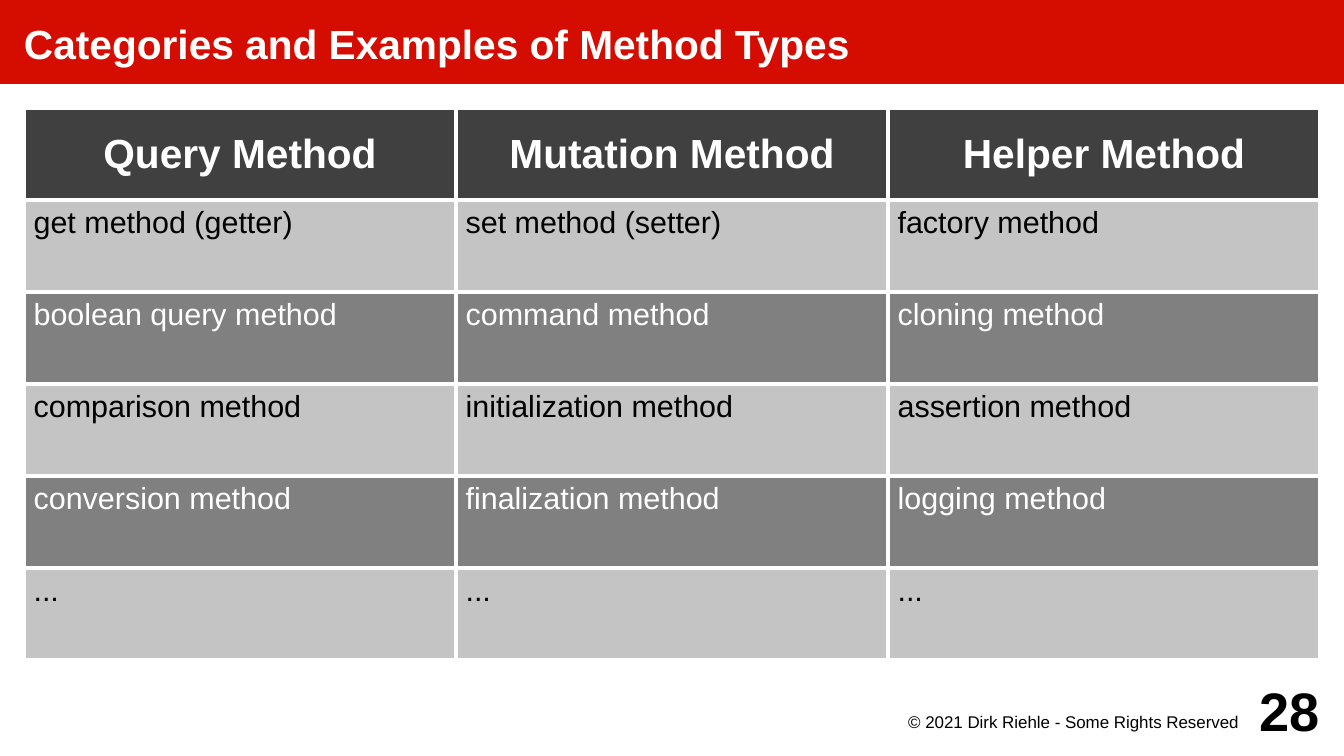
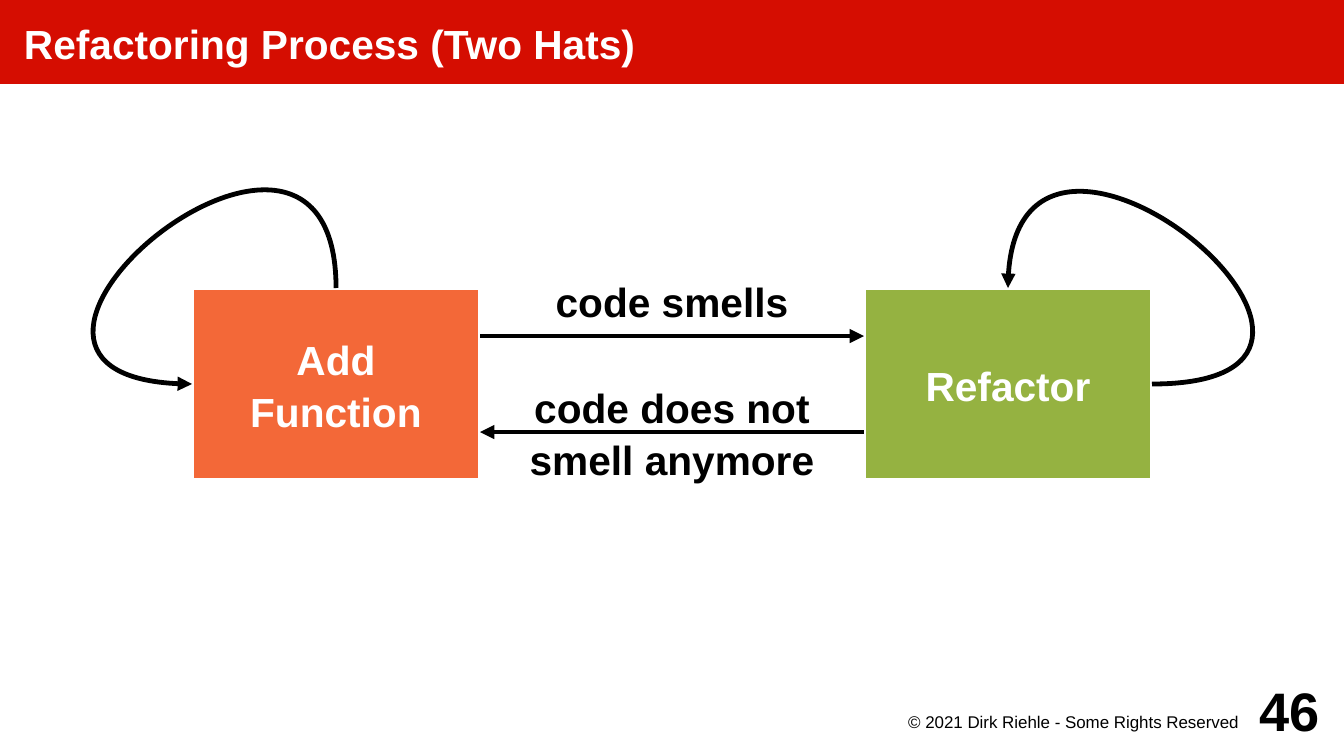
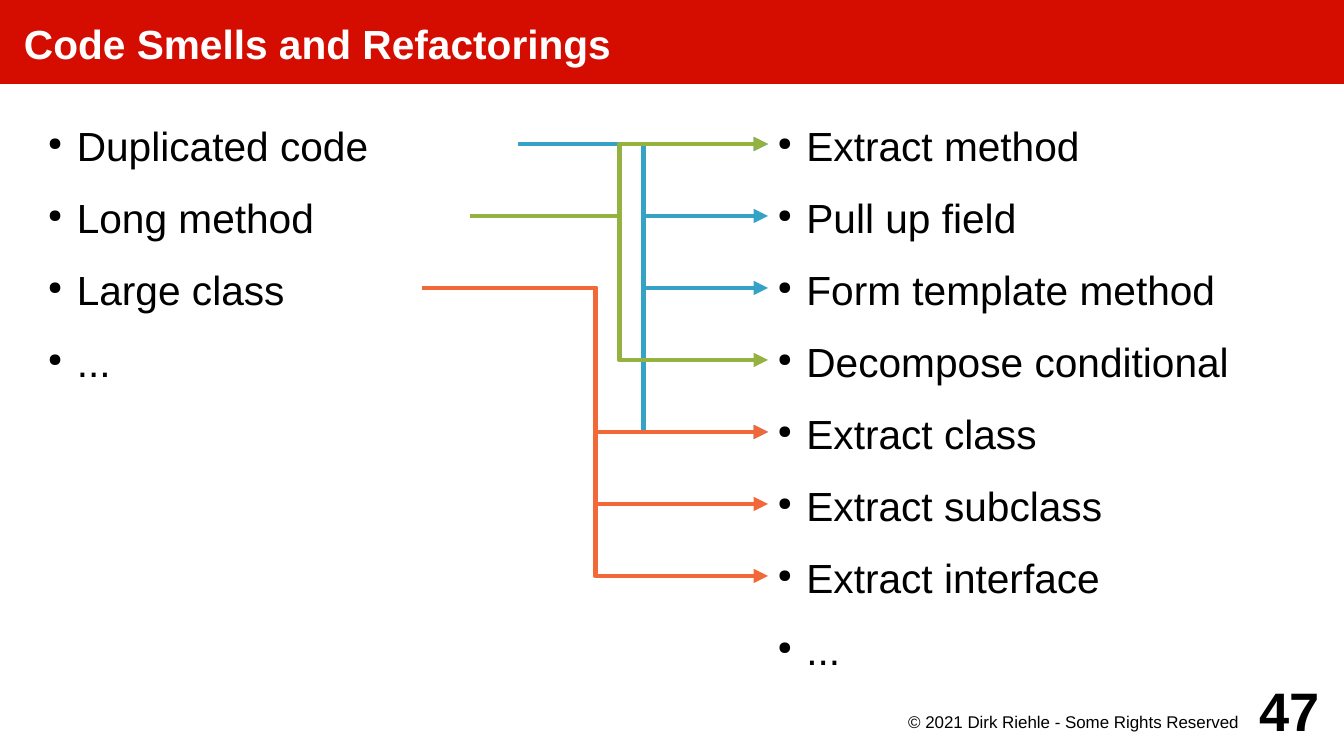
from lxml.etree import SubElement as Sub
from pptx import Presentation
from pptx.dml.color import RGBColor as Rgb
from pptx.enum.shapes import MSO_CONNECTOR as Conn, MSO_SHAPE as Form
from pptx.enum.text import MSO_ANCHOR as Anchor, PP_ALIGN as Align
from pptx.oxml.ns import qn
from pptx.util import Cm, Pt

# Shared look, lengths in cm
WIDE, HIGH = 28, 15.75
FONT = "Arial"
RED, BLACK, WHITE = "D50D01", "000000", "FFFFFF"
DARK, GRAY, LIGHT = "404040", "808080", "C4C4C4"
BLUE, GREEN, ORANGE = "34A3C5", "95B241", "F36838"
STROKE = 0.1
LEFT, MID, RIGHT = Align.LEFT, Align.CENTER, Align.RIGHT
NOTICE = "© 2021 Dirk Riehle - Some Rights Reserved"

# Slide 1: table
METHODS = [
    ("Query Method", "Mutation Method", "Helper Method"),
    ("get method (getter)", "set method (setter)", "factory method"),
    ("boolean query method", "command method", "cloning method"),
    ("comparison method", "initialization method", "assertion method"),
    ("conversion method", "finalization method", "logging method"),
    ("...", "...", "..."),
]

# Slide 2: left, text, fill, padding
HATS = [(18, "Refactor", GREEN, 0.2), (4, "Add Function", ORANGE, 0.5)]
# top, height, text
LABELS = [(5.5, 1.5, "code smells"),
          (7.5, 3, "code does not\nsmell anymore")]
# start, two control points, end
LOOPS = [[(24, 8), (30, 8), (21, 0.5), (21, 6)],
         [(7, 6), (7, 0.5), (-2, 8), (4, 8)]]

# Slide 3: text, box width, link colour, linked fixes
SMELLS = [
    ("Duplicated code", 10, BLUE, (0, 1, 2, 4)),
    ("Long method", 9, GREEN, (0, 3)),
    ("Large class", 8, ORANGE, (4, 5, 6)),
    ("...", 10, None, ()),
]
FIXES = ["Extract method", "Pull up field", "Form template method",
         "Decompose conditional", "Extract class", "Extract subclass",
         "Extract interface", "..."]


def paint(fill, color):
    fill.solid()
    fill.fore_color.rgb = Rgb.from_string(color)


def write(frame, text, size=24, color=BLACK, bold=False, align=LEFT,
          space=1.05, bullet=False):
    for i, part in enumerate(text.split("\n")):
        para = frame.add_paragraph() if i else frame.paragraphs[0]
        para.alignment, para.line_spacing = align, space
        if bullet:
            props = para._p.get_or_add_pPr()
            props.set("marL", str(Cm(0.6)))
            props.set("indent", str(-Cm(0.6)))
            Sub(Sub(props, qn("a:buClr")), qn("a:srgbClr"), val=color)
            Sub(props, qn("a:buSzPct"), val="45000")
            Sub(props, qn("a:buChar"), char="●")
        run = para.add_run()
        run.text = part
        font = run.font
        font.name, font.size, font.bold = FONT, Pt(size), bold
        font.color.rgb = Rgb.from_string(color)


def block(slide, at, text, fill=None, line=None, alpha=None,
          pad=(0.2, 0.2, 0.2, 0.2), anchor=Anchor.MIDDLE, **form):
    at = [Cm(v) for v in at]
    if fill:
        shape = slide.shapes.add_shape(Form.RECTANGLE, *at)
        shape.shadow.inherit = False
        paint(shape.fill, fill)
        if line:
            paint(shape.line.fill, line)
            shape.line.width = Cm(STROKE)
        else:
            shape.line.fill.background()
        if alpha:
            tone = shape._element.spPr.find(qn("a:solidFill"))[0]
            Sub(tone, qn("a:alpha"), val=str(alpha * 1000))
    else:
        shape = slide.shapes.add_textbox(*at)
    frame = shape.text_frame
    frame.word_wrap, frame.vertical_anchor = True, anchor
    (frame.margin_left, frame.margin_top,
     frame.margin_right, frame.margin_bottom) = [Cm(v) for v in pad]
    write(frame, text, **form)


def point(shape, color):
    """Style a line and give its end an arrowhead."""
    paint(shape.line.fill, color)
    shape.line.width = Cm(STROKE)
    props = shape._element.spPr
    Sub(props.find(qn("a:ln")), qn("a:tailEnd"), type="triangle")
    if props.find(qn("a:effectLst")) is None:
        Sub(props, qn("a:effectLst"))


def arrow(slide, start, end, color=BLACK):
    kind = Conn.STRAIGHT if start[1] == end[1] else Conn.ELBOW
    ends = [Cm(v) for v in (*start, *end)]
    point(slide.shapes.add_connector(kind, *ends), color)


def curve(slide, knots, steps=100):
    """Draw a cubic curve in a frame that fits it closely."""
    knots = [(Cm(x), Cm(y)) for x, y in knots]

    def spot(t):
        mix = ((1 - t) ** 3, 3 * t * (1 - t) ** 2, 3 * t * t * (1 - t), t ** 3)
        return tuple(round(sum(m * k[i] for m, k in zip(mix, knots)))
                     for i in (0, 1))

    pen = slide.shapes.build_freeform(*knots[0])
    pen.add_line_segments([spot(n / steps) for n in range(1, steps + 1)],
                          close=False)
    shape = pen.convert_to_shape()
    route = next(shape._element.iter(qn("a:path")))
    for leg in route.findall(qn("a:lnTo")):
        route.remove(leg)
    bend = Sub(route, qn("a:cubicBezTo"))
    for x, y in knots[1:]:
        Sub(bend, qn("a:pt"), x=str(x - shape.left), y=str(y - shape.top))
    shape.fill.background()
    shape.shadow.inherit = False
    point(shape, BLACK)


def start(deck, title, number):
    """Add a slide with title band, notice and page number."""
    slide = deck.slides.add_slide(deck.slide_layouts[6])
    block(slide, (0, 0, WIDE, 1.75), title, fill=RED, color=WHITE, bold=True,
          pad=(0.5, 0, 0, 0))
    block(slide, (18, 14.75, 8, 0.75), NOTICE, size=10, align=RIGHT,
          pad=(0, 0.05, 0.2, 0), anchor=Anchor.TOP)
    block(slide, (25.5, 14, 2, 1.5), str(number), size=32, bold=True,
          align=RIGHT, pad=(0, 0, 0, 0))
    return slide


def edge(cell):
    props = cell._tc.get_or_add_tcPr()
    for side in "LRTB":
        line = Sub(props, qn("a:ln" + side), w=str(Cm(0.08)))
        Sub(Sub(line, qn("a:solidFill")), qn("a:srgbClr"), val=WHITE)


def types(slide):
    rows, cols = len(METHODS), len(METHODS[0])
    table = slide.shapes.add_table(rows, cols, Cm(0.5), Cm(2.25),
                                   Cm(27), Cm(11.5)).table
    for r, texts in enumerate(METHODS):
        head = r == 0
        fill = DARK if head else LIGHT if r % 2 else GRAY
        for c, text in enumerate(texts):
            cell = table.cell(r, c)
            edge(cell)
            paint(cell.fill, fill)
            cell.margin_left = cell.margin_right = Cm(0.2)
            cell.margin_top = cell.margin_bottom = Cm(0.13)
            cell.vertical_anchor = Anchor.MIDDLE if head else Anchor.TOP
            write(cell.text_frame, text, size=24 if head else 18, bold=head,
                  color=BLACK if fill == LIGHT else WHITE,
                  align=MID if head else LEFT, space=1.0)


def process(slide):
    for left, text, fill, pad in HATS:
        block(slide, (left, 6, 6, 4), text, fill=fill, line=WHITE,
              pad=[pad] * 4, color=WHITE, bold=True, align=MID)
    for top, high, text in LABELS:
        block(slide, (10, top, 8, high), text, fill=WHITE, alpha=80,
              bold=True, align=MID)
    arrow(slide, (18, 9), (10, 9))
    arrow(slide, (10, 7), (18, 7))
    for knots in LOOPS:
        curve(slide, knots)


def links(slide):
    left, right, top, step = 0.8, 16, 2.25, 1.5

    def mid(row):
        return top + (row + 0.5) * step

    for row, (text, wide, *_) in enumerate(SMELLS):
        block(slide, (left, top + row * step, wide, step), text, bullet=True)
    for row, text in enumerate(FIXES):
        block(slide, (right, top + row * step, 10, step), text, bullet=True)
    for row, (_, wide, color, fixes) in enumerate(SMELLS):
        for fix in fixes:
            arrow(slide, (left + wide, mid(row)), (right, mid(fix)), color)


def main():
    deck = Presentation()
    deck.slide_width, deck.slide_height = Cm(WIDE), Cm(HIGH)
    types(start(deck, "Categories and Examples of Method Types", 28))
    process(start(deck, "Refactoring Process (Two Hats)", 46))
    links(start(deck, "Code Smells and Refactorings", 47))
    deck.save("out.pptx")


if __name__ == "__main__":
    main()
